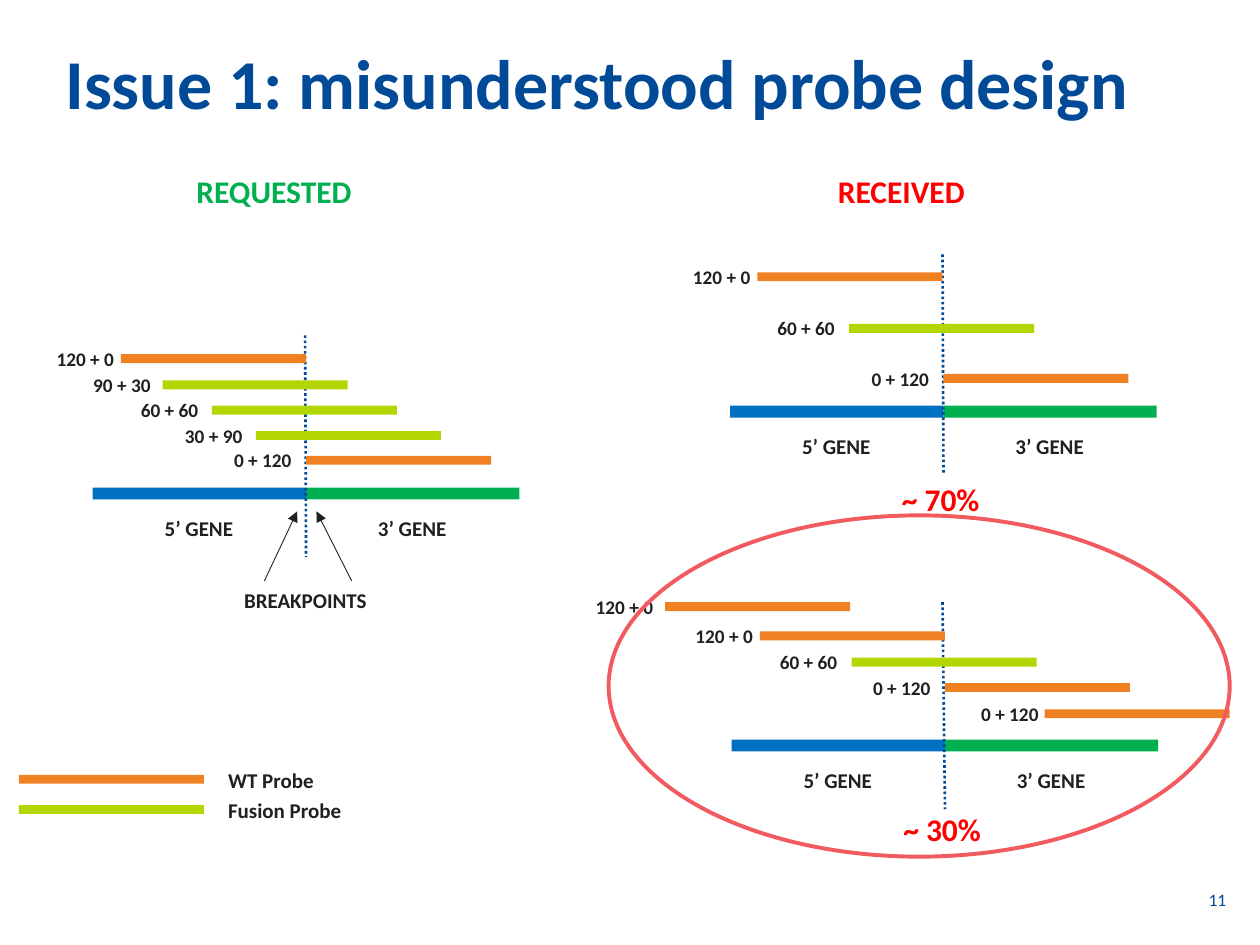
from lxml.etree import SubElement
from pptx import Presentation
from pptx.dml.color import RGBColor
from pptx.enum.dml import MSO_LINE
from pptx.enum.shapes import MSO_CONNECTOR, MSO_SHAPE
from pptx.enum.text import MSO_ANCHOR, MSO_AUTO_SIZE, PP_ALIGN
from pptx.oxml.ns import qn
from pptx.util import Cm, Pt

NAVY = RGBColor(0x00, 0x4A, 0x97)
INK = RGBColor(0x20, 0x20, 0x20)
BLUE = RGBColor(0x00, 0x70, 0xC0)
GREEN = RGBColor(0x00, 0xB0, 0x50)
ORANGE = RGBColor(0xEF, 0x81, 0x22)
LIME = RGBColor(0xB3, 0xD5, 0x00)
RED = RGBColor(0xFF, 0x00, 0x00)
CORAL = RGBColor(0xF1, 0x5B, 0x60)

TITLE = "Issue 1: misunderstood probe design"
PAGE_NUMBER = "11"
PROBE_WIDTH, PROBE_HEIGHT = 3.73, 0.18
GENE_WIDTH, GENE_HEIGHT = 4.3, 0.24

DIAGRAMS = [
    {"junction": 6.17, "gene_top": 9.83, "breakpoint": (6.15, 6.76, 11.23),
     "probes": [("120 + 0", ORANGE, 2.44, 7.14, 1.55),
                ("90 + 30", LIME, 3.28, 7.67, 1.65),
                ("60 + 60", LIME, 4.27, 8.18, 1.68),
                ("30 + 90", LIME, 5.16, 8.69, 1.68),
                ("0 + 120", ORANGE, 6.17, 9.19, 1.7)]},
    {"junction": 19.02, "gene_top": 8.18, "breakpoint": (19, 5.13, 9.58),
     "probes": [("120 + 0", ORANGE, 15.27, 5.49, 1.55),
                ("60 + 60", LIME, 17.12, 6.53, 1.7),
                ("0 + 120", ORANGE, 19.02, 7.54, 1.7)]},
    {"junction": 19.05, "gene_top": 14.91, "breakpoint": (19, 12.14, 16.31),
     "probes": [("120 + 0", ORANGE, 13.41, 12.14, 1.65),
                ("120 + 0", ORANGE, 15.32, 12.73, 1.55),
                ("60 + 60", LIME, 17.17, 13.26, 1.7),
                ("0 + 120", ORANGE, 19.05, 13.77, 1.7),
                ("0 + 120", ORANGE, 21.06, 14.3, 1.53)]},
]
HEADINGS = [
    ("REQUESTED", GREEN, 3.71, 3.35, 3.66),
    ("RECEIVED", RED, 16.64, 3.35, 3.1),
    ("~ 70%", RED, 17.93, 9.55, 2.11),
    ("~ 30%", RED, 17.96, 16.21, 2.11),
]
LEGEND = [("WT Probe", ORANGE, 15.62, 2.26), ("Fusion Probe", LIME, 16.23, 2.82)]
BREAKPOINT_ARROWS = [(5.33, 5.99), (7.09, 6.38)]


def add_text(page, text, left, top, width, height, size, color, bold=True):
    box = page.shapes.add_textbox(Cm(left), Cm(top), Cm(width), Cm(height))
    frame = box.text_frame
    frame.word_wrap = False
    frame.auto_size = MSO_AUTO_SIZE.SHAPE_TO_FIT_TEXT
    para = frame.paragraphs[0]
    para.text = text
    para.font.name = "Calibri"
    para.font.size = Pt(size)
    para.font.bold = bold
    para.font.color.rgb = color
    return frame


def set_frame(frame, left, right, bottom):
    frame.word_wrap = True
    frame.auto_size = MSO_AUTO_SIZE.NONE
    frame.margin_left, frame.margin_right = Cm(left), Cm(right)
    frame.margin_top, frame.margin_bottom = Cm(0), Cm(bottom)


def add_bar(page, left, top, width, height, color):
    bar = page.shapes.add_shape(
        MSO_SHAPE.RECTANGLE, Cm(left), Cm(top), Cm(width), Cm(height))
    bar.shadow.inherit = False
    bar.fill.solid()
    bar.fill.fore_color.rgb = color
    bar.line.fill.background()


def add_line(page, start, end, color, width):
    line = page.shapes.add_connector(
        MSO_CONNECTOR.STRAIGHT, *(Cm(value) for value in start + end))
    line.line.color.rgb = color
    line.line.width = Pt(width)
    SubElement(line.element.spPr, qn("a:effectLst"))
    return line


def add_diagram(page, diagram):
    junction, gene_top = diagram["junction"], diagram["gene_top"]
    genes = [("5’ GENE", BLUE, junction - GENE_WIDTH), ("3’ GENE", GREEN, junction)]
    for name, color, left in genes:
        add_bar(page, left, gene_top, GENE_WIDTH, GENE_HEIGHT, color)
        add_text(page, name, left + 1.2, gene_top + 0.43, 1.9, 0.77, 12, INK)
    line_left, line_top, line_bottom = diagram["breakpoint"]
    line = add_line(page, (line_left, line_top), (junction, line_bottom), NAVY, 1.5)
    line.line.dash_style = MSO_LINE.ROUND_DOT
    for label, color, left, top, label_offset in diagram["probes"]:
        add_bar(page, left, top, PROBE_WIDTH, PROBE_HEIGHT, color)
        add_text(page, label, left - label_offset, top - 0.27, 1.68, 0.73, 11, INK)


def main():
    deck = Presentation()
    deck.slide_width, deck.slide_height = Cm(25.4), Cm(19.05)
    page = deck.slides.add_slide(deck.slide_layouts[6])

    title = add_text(page, TITLE, 1.32, 0.99, 22.33, 1.96, 40, NAVY)
    set_frame(title, 0, 0.25, 0.13)
    title.paragraphs[0].line_spacing = 0.9
    number = add_text(page, PAGE_NUMBER, 19, 17.68, 5.72, 1.02, 10, NAVY, False)
    set_frame(number, 0, 0, 0.13)
    number.vertical_anchor = MSO_ANCHOR.MIDDLE
    number.paragraphs[0].alignment = PP_ALIGN.RIGHT

    for diagram in DIAGRAMS:
        add_diagram(page, diagram)
    for text, color, left, top, width in HEADINGS:
        add_text(page, text, left, top, width, 1.03, 18, color)
    for text, color, top, width in LEGEND:
        add_bar(page, 0.38, top, PROBE_WIDTH, PROBE_HEIGHT, color)
        add_text(page, text, 4.35, top - 0.28, width, 0.77, 12, INK)

    add_text(page, "BREAKPOINTS", 4.67, 11.71, 3.02, 0.77, 12, INK)
    for start, end in BREAKPOINT_ARROWS:
        arrow = add_line(page, (start, 11.71), (end, 10.31), INK, 0.5)
        SubElement(arrow.line._get_or_add_ln(), qn("a:tailEnd"), type="triangle")

    ring = page.shapes.add_shape(
        MSO_SHAPE.OVAL, Cm(12.27), Cm(10.39), Cm(12.52), Cm(6.88))
    ring.shadow.inherit = False
    ring.fill.background()
    ring.line.color.rgb = CORAL
    ring.line.width = Pt(2.25)

    deck.save("out.pptx")


if __name__ == "__main__":
    main()
